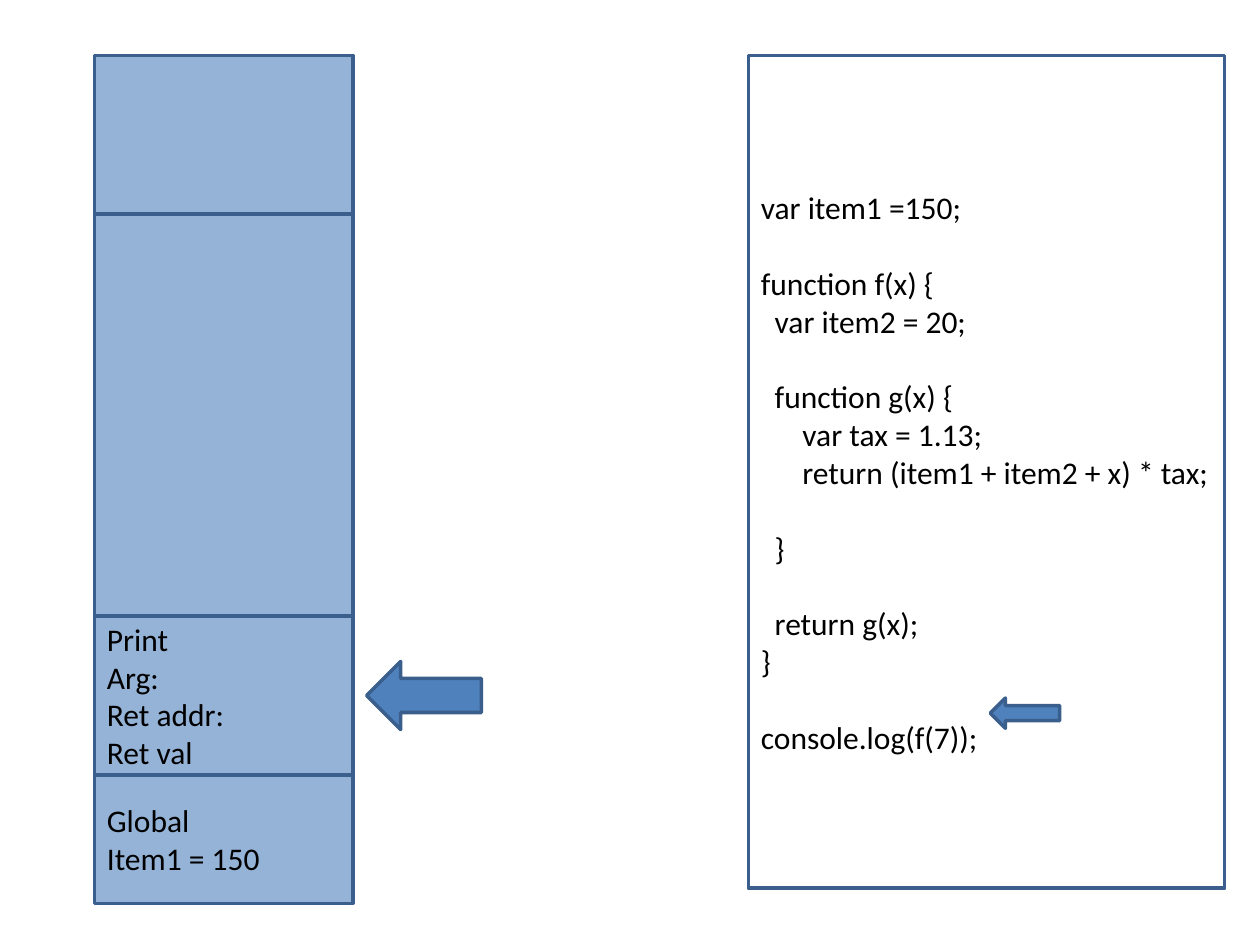
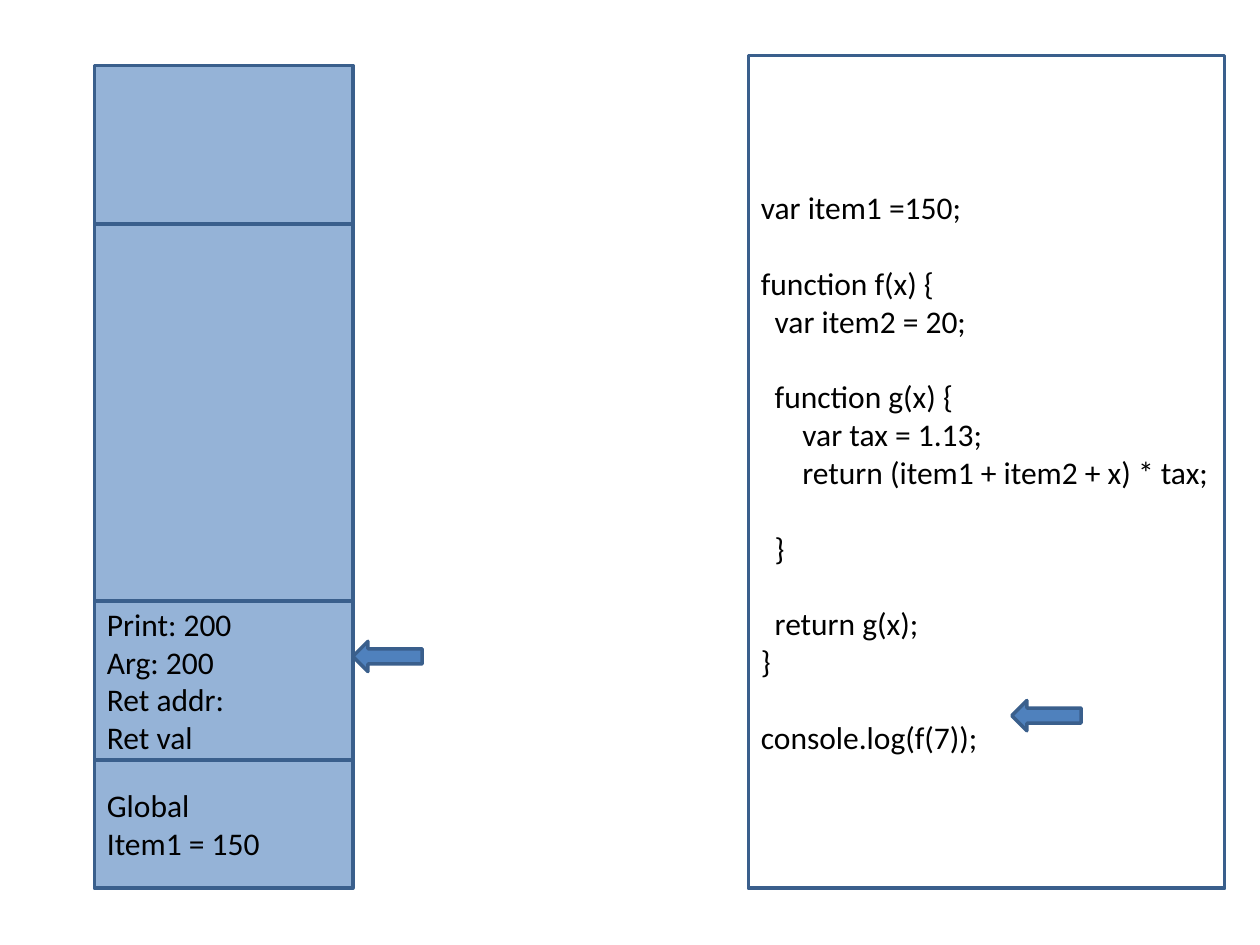
from dataclasses import dataclass

from pptx import Presentation
from pptx.dml.color import RGBColor
from pptx.enum.shapes import MSO_SHAPE as Shape
from pptx.enum.text import MSO_ANCHOR as Anchor, PP_ALIGN as Align
from pptx.util import Pt

EMU_PER_PX = 9144  # 100 px to the inch
BLANK_LAYOUT = 6


@dataclass(frozen=True)
class Theme:
    font: str = "Calibri"
    text_size: float = 18
    line_gap: float = 21.6
    line_width: float = 2
    text: str = "000000"
    outline: str = "3A5F8C"
    code_fill: str = "FFFFFF"
    frame_fill: str = "95B3D7"
    arrow_fill: str = "4F81BD"


# Each line: indent level, text, whether an empty line's gap precedes it
CODE = [
    (0, "var item1 =150;", False),
    (0, "function f(x) {", True),
    (1, "var item2 = 20;", False),
    (1, "function g(x) {", True),
    (3, "var tax = 1.13;", False),
    (3, "return (item1 + item2 + x) * tax;", False),
    (1, "}", True),
    (1, "return g(x);", True),
    (0, "}", False),
    (0, "console.log(f(7));", True),
]
CODE_BOX = (594, 44, 378, 661)
INDENT = 11

STACK_LEFT, STACK_WIDTH = 75, 205
FRAME_HEIGHT, GLOBAL_HEIGHT = 126, 102
GLOBAL_LINES = ["Global", "Item1 = 150"]
SMALL_ARROW = (55, 24)
LARGE_ARROW = (91, 54)


def px(length):
    return length * EMU_PER_PX


class SlideBuilder:
    def __init__(self, presentation, theme):
        self.presentation = presentation
        self.theme = theme
        self.slide = None

    def new_slide(self):
        layout = self.presentation.slide_layouts[BLANK_LAYOUT]
        self.slide = self.presentation.slides.add_slide(layout)

    def shape(self, kind, box, fill):
        shape = self.slide.shapes.add_shape(kind, *map(px, box))
        shape.shadow.inherit = False
        shape.fill.solid()
        shape.fill.fore_color.rgb = RGBColor.from_string(fill)
        shape.line.color.rgb = RGBColor.from_string(self.theme.outline)
        shape.line.width = Pt(self.theme.line_width)
        return shape

    def text(self, shape, lines):
        """Write (indent level, text, gap before) lines into the shape."""
        frame = shape.text_frame
        frame.word_wrap = True
        frame.vertical_anchor = Anchor.MIDDLE
        frame.margin_right = px(4)
        for index, (level, words, gap) in enumerate(lines):
            paragraph = frame.add_paragraph() if index else frame.paragraphs[0]
            paragraph.alignment = Align.LEFT
            if level:
                paragraph._p.get_or_add_pPr().set("marL", str(px(level * INDENT)))
            if gap:
                paragraph.space_before = Pt(self.theme.line_gap)
            run = paragraph.add_run()
            run.text = words
            run.font.name = self.theme.font
            run.font.size = Pt(self.theme.text_size)
            run.font.color.rgb = RGBColor.from_string(self.theme.text)

    def code_panel(self):
        panel = self.shape(Shape.RECTANGLE, CODE_BOX, self.theme.code_fill)
        self.text(panel, CODE)

    def call_stack(self, top, free_height, print_lines):
        """Stack the memory frames downwards from top, without gaps."""
        frames = [
            (FRAME_HEIGHT, []),
            (free_height, []),
            (FRAME_HEIGHT, print_lines),
            (GLOBAL_HEIGHT, GLOBAL_LINES),
        ]
        for height, lines in frames:
            box = (STACK_LEFT, top, STACK_WIDTH, height)
            frame = self.shape(Shape.RECTANGLE, box, self.theme.frame_fill)
            if lines:
                self.text(frame, [(0, line, False) for line in lines])
            top += height

    def arrow(self, left, top, size):
        self.shape(Shape.LEFT_ARROW, (left, top, *size), self.theme.arrow_fill)


def main():
    presentation = Presentation()
    presentation.slide_width = px(1000)
    presentation.slide_height = px(750)
    builder = SlideBuilder(presentation, Theme())

    steps = [
        (44, 319, ["Print", "Arg:", "Ret addr:", "Ret val"],
         [(786, 554, SMALL_ARROW), (291, 525, LARGE_ARROW)]),
        (52, 299, ["Print: 200", "Arg: 200", "Ret addr:", "Ret val"],
         [(280, 509, SMALL_ARROW), (803, 556, SMALL_ARROW)]),
    ]
    for stack_top, free_height, print_lines, arrows in steps:
        builder.new_slide()
        builder.code_panel()
        builder.call_stack(stack_top, free_height, print_lines)
        for arrow in arrows:
            builder.arrow(*arrow)

    presentation.save("out.pptx")


if __name__ == "__main__":
    main()
